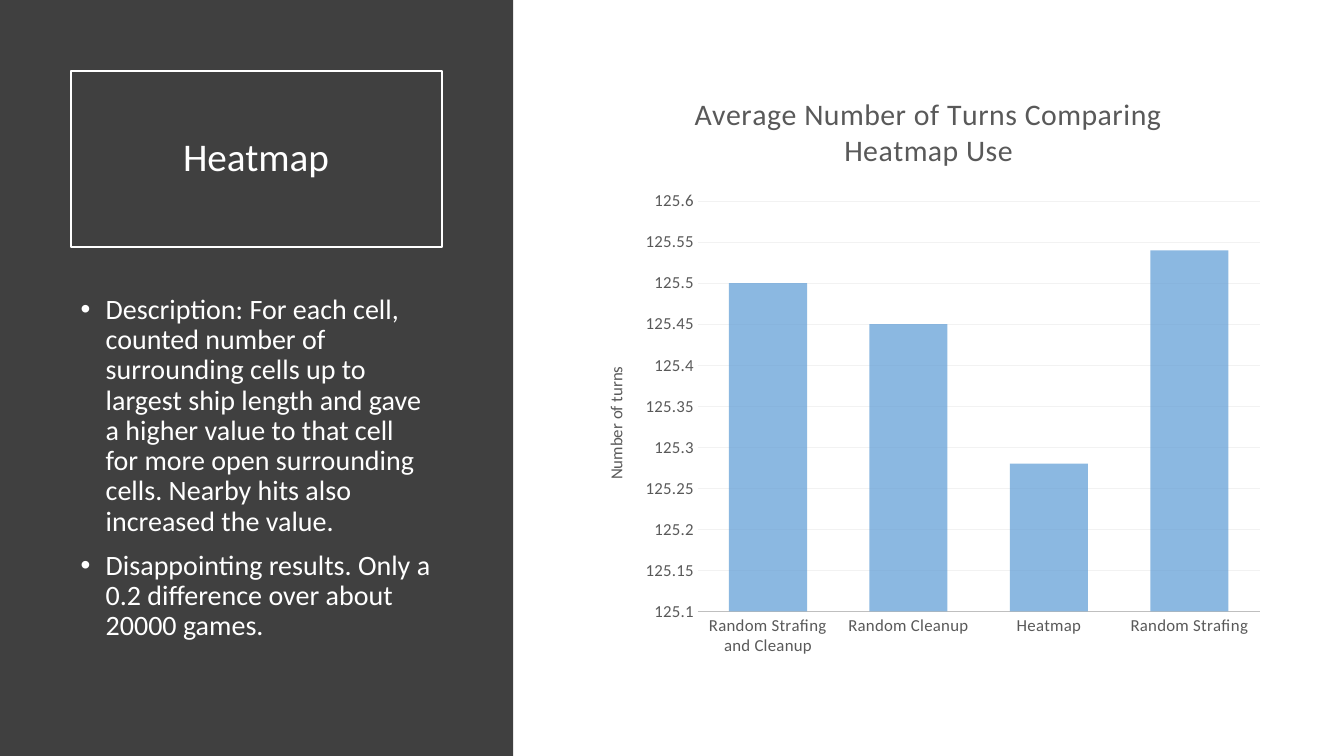
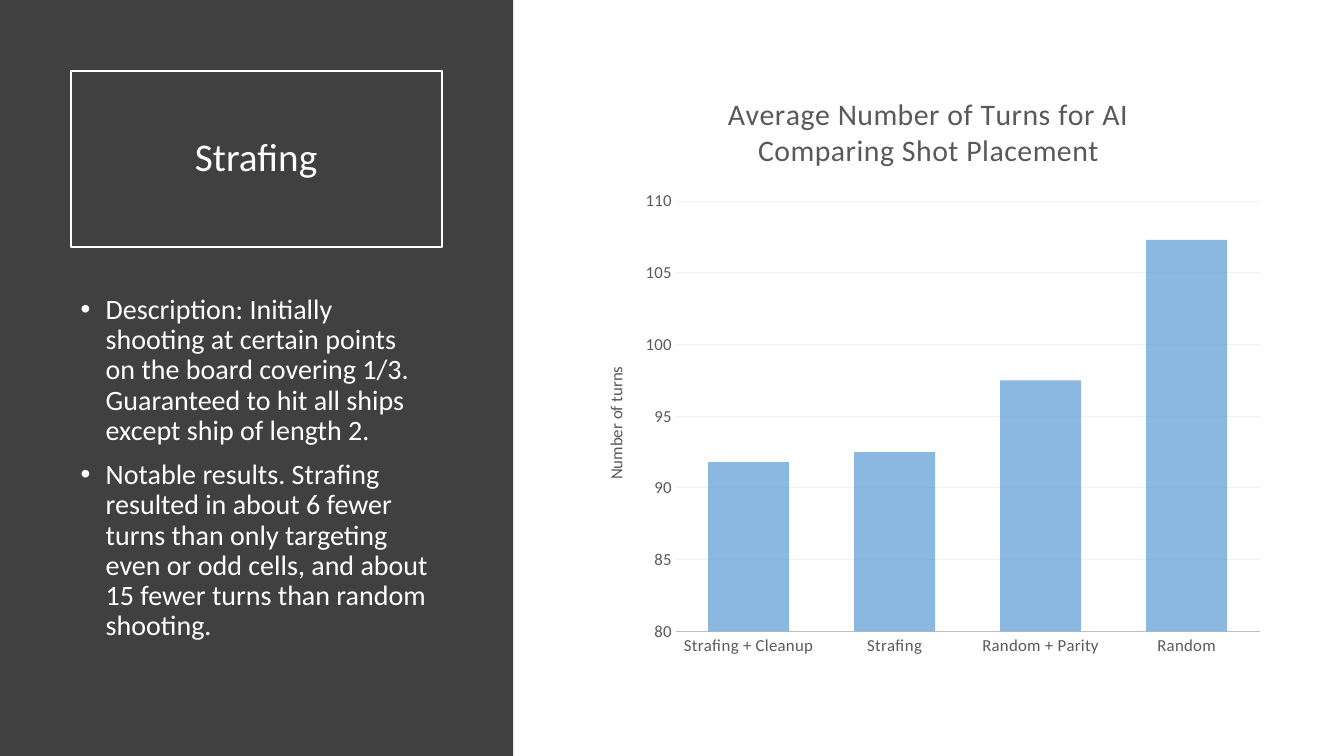
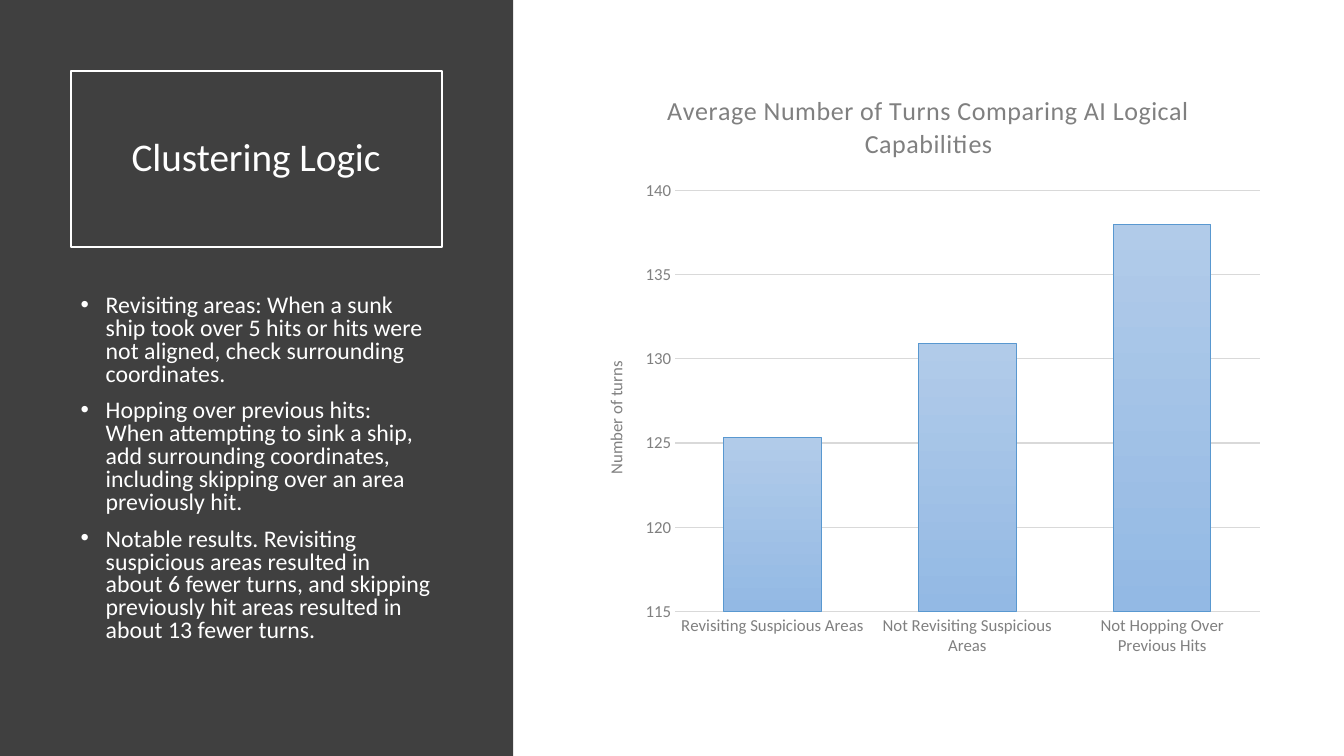
"""Build three slides on game strategy, each with a dark text panel and a column chart."""
import lxml.etree
import pptx
import pptx.chart.data
import pptx.dml.color
import pptx.enum.chart
import pptx.enum.shapes
import pptx.enum.text
import pptx.oxml.ns
import pptx.util

Inches, Pt, qn = pptx.util.Inches, pptx.util.Pt, pptx.oxml.ns.qn
FONT = "Calibri"
COLORS = {
    "white": "FFFFFF", "panel": "404040", "bar": "5B9BD5", "bar_line": "5998D0",
    "bar_top": "B1CBE9", "bar_bottom": "93B9E4",
    "text": "595959", "axis": "BFBFBF", "grid": "F2F2F2",
    "soft_text": "808080", "soft_grid": "D9D9D9",
}
FLAT = {"text": "text", "axis": "axis", "axis_width": 1.25, "grid": "grid", "gap": 80,
        "overlap": 25, "title_size": 21.3, "title_spacing": 50, "label_spacing": 20, "gradient": False}
SOFT = {"text": "soft_text", "axis": "soft_grid", "axis_width": 0.75, "grid": "soft_grid", "gap": 100,
        "overlap": -24, "title_size": 18.6, "title_spacing": 30, "label_spacing": 0, "gradient": True}
SLIDES = [
    {"title": "Heatmap", "size": 20, "spacing": 0.9, "style": FLAT,
     "bullets": [
         "Description: For each cell, counted number of surrounding cells up to largest ship length and gave "
         "a higher value to that cell for more open surrounding cells. Nearby hits also increased the value.",
         "Disappointing results. Only a 0.2 difference over about 20000 games."],
     "chart_title": "Average Number of Turns Comparing Heatmap Use",
     "data": {"Random Strafing and Cleanup": 125.5, "Random Cleanup": 125.45,
              "Heatmap": 125.28, "Random Strafing": 125.54},
     "scale": (125.1, 125.6, 0.05)},
    {"title": "Strafing", "size": 20, "spacing": 0.9, "style": FLAT,
     "bullets": [
         "Description: Initially shooting at certain points on the board covering 1/3. "
         "Guaranteed to hit all ships except ship of length 2.",
         "Notable results. Strafing resulted in about 6 fewer turns than only targeting even or odd cells, "
         "and about 15 fewer turns than random shooting."],
     "chart_title": "Average Number of Turns for AI Comparing Shot Placement",
     "data": {"Strafing + Cleanup": 91.8, "Strafing": 92.5, "Random + Parity": 97.5, "Random": 107.3},
     "scale": (80, 110, 5)},
    {"title": "Clustering Logic", "size": 17, "spacing": 0.8, "style": SOFT,
     "bullets": [
         "Revisiting areas: When a sunk ship took over 5 hits or hits were not aligned, "
         "check surrounding coordinates.",
         "Hopping over previous hits: When attempting to sink a ship, add surrounding coordinates, "
         "including skipping over an area previously hit.",
         "Notable results. Revisiting suspicious areas resulted in about 6 fewer turns, "
         "and skipping previously hit areas resulted in about 13 fewer turns."],
     "chart_title": "Average Number of Turns Comparing AI Logical Capabilities",
     "data": {"Revisiting Suspicious Areas": 125.3, "Not Revisiting Suspicious Areas": 130.9,
              "Not Hopping Over Previous Hits": 138},
     "scale": (115, 140, 5)},
]


def rgb(name):
    return pptx.dml.color.RGBColor.from_string(COLORS[name])


def add_run(p, text, size, color):
    r = p.add_run()
    r.text = text
    r.font.name, r.font.size, r.font.bold = FONT, Pt(size), False
    r.font.color.rgb = rgb(color)


prs = pptx.Presentation()
prs.slide_width, prs.slide_height = Inches(13.33), Inches(7.5)

for content in SLIDES:
    style = content["style"]
    s = prs.slides.add_slide(prs.slide_layouts[5])

    title = s.shapes.title
    title.left, title.top, title.width, title.height = Inches(0.7), Inches(0.7), Inches(3.68), Inches(1.75)
    title.line.color.rgb = rgb("white")
    title.line.width = Pt(1.5)
    title.text_frame.vertical_anchor = pptx.enum.text.MSO_ANCHOR.MIDDLE
    p = title.text_frame.paragraphs[0]
    p.alignment = pptx.enum.text.PP_ALIGN.CENTER
    p.line_spacing = 0.9
    add_run(p, content["title"], 28, "white")

    panel = s.shapes.add_shape(pptx.enum.shapes.MSO_SHAPE.RECTANGLE, 0, 0, Inches(5.09), prs.slide_height)
    panel.shadow.inherit = False
    panel.fill.solid()
    panel.fill.fore_color.rgb = rgb("panel")
    panel.line.fill.background()
    title.element.addprevious(panel.element)

    body = s.shapes.add_textbox(Inches(0.7), Inches(2.88), Inches(3.68), Inches(3.74))
    tf = body.text_frame
    tf.word_wrap = True
    for i, text in enumerate(content["bullets"]):
        p = tf.add_paragraph() if i else tf.paragraphs[0]
        p.line_spacing = content["spacing"]
        p.space_before = Pt(10)
        add_run(p, text, content["size"], "white")
    for pPr in body.element.iter(qn("a:pPr")):
        pPr.set("marL", str(Inches(0.25)))
        pPr.set("indent", str(Inches(-0.25)))
        lxml.etree.SubElement(pPr, qn("a:buFont")).set("typeface", "Arial")
        lxml.etree.SubElement(pPr, qn("a:buChar")).set("char", "•")

    data = pptx.chart.data.CategoryChartData()
    data.categories = list(content["data"])
    data.add_series("Series 1", list(content["data"].values()))
    chart = s.shapes.add_chart(pptx.enum.chart.XL_CHART_TYPE.COLUMN_CLUSTERED,
                               Inches(5.79), Inches(0.7), Inches(6.84), Inches(5.92), data).chart
    chart.font.name, chart.font.size = FONT, Pt(10)
    chart.has_legend = False
    chart.has_title = True
    add_run(chart.chart_title.text_frame.paragraphs[0], content["chart_title"], style["title_size"], style["text"])

    cat_axis, val_axis = chart.category_axis, chart.value_axis
    for axis in (cat_axis, val_axis):
        axis.major_tick_mark = axis.minor_tick_mark = pptx.enum.chart.XL_TICK_MARK.NONE
        font = axis.tick_labels.font
        font.name, font.size = FONT, Pt(12)
        font.color.rgb = rgb(style["text"])
    cat_axis.format.line.color.rgb = rgb(style["axis"])
    cat_axis.format.line.width = Pt(style["axis_width"])
    val_axis.minimum_scale, val_axis.maximum_scale, val_axis.major_unit = content["scale"]
    val_axis.format.line.fill.background()
    grid_line = val_axis.major_gridlines.format.line
    grid_line.color.rgb = rgb(style["grid"])
    grid_line.width = Pt(0.75)
    add_run(val_axis.axis_title.text_frame.paragraphs[0], "Number of turns", 12, style["text"])

    plot = chart.plots[0]
    plot.vary_by_categories = False
    plot.gap_width, plot.overlap = style["gap"], style["overlap"]
    bars = plot.series[0].format
    if style["gradient"]:
        bars.fill.gradient()
        bars.fill.gradient_angle = 270
        for stop, name in zip(bars.fill.gradient_stops, ("bar_top", "bar_bottom")):
            stop.color.rgb = rgb(name)
        bars.line.color.rgb = rgb("bar_line")
        bars.line.width = Pt(0.75)
    else:
        bars.fill.solid()
        bars.fill.fore_color.rgb = rgb("bar")
        for color in chart.element.xpath(".//c:ser/c:spPr/a:solidFill/a:srgbClr"):
            lxml.etree.SubElement(color, qn("a:alpha")).set("val", "70000")

    for rPr in chart.element.xpath("./c:chart/c:title//a:rPr"):
        rPr.set("spc", str(style["title_spacing"]))
    for rPr in chart.element.xpath(".//c:catAx/c:txPr//a:defRPr | .//c:valAx/c:txPr//a:defRPr"):
        rPr.set("spc", str(style["label_spacing"]))
    for bodyPr in chart.element.xpath(".//c:valAx/c:title//a:bodyPr"):
        bodyPr.set("rot", "-5400000")
        bodyPr.set("vert", "horz")

prs.save("out.pptx")
